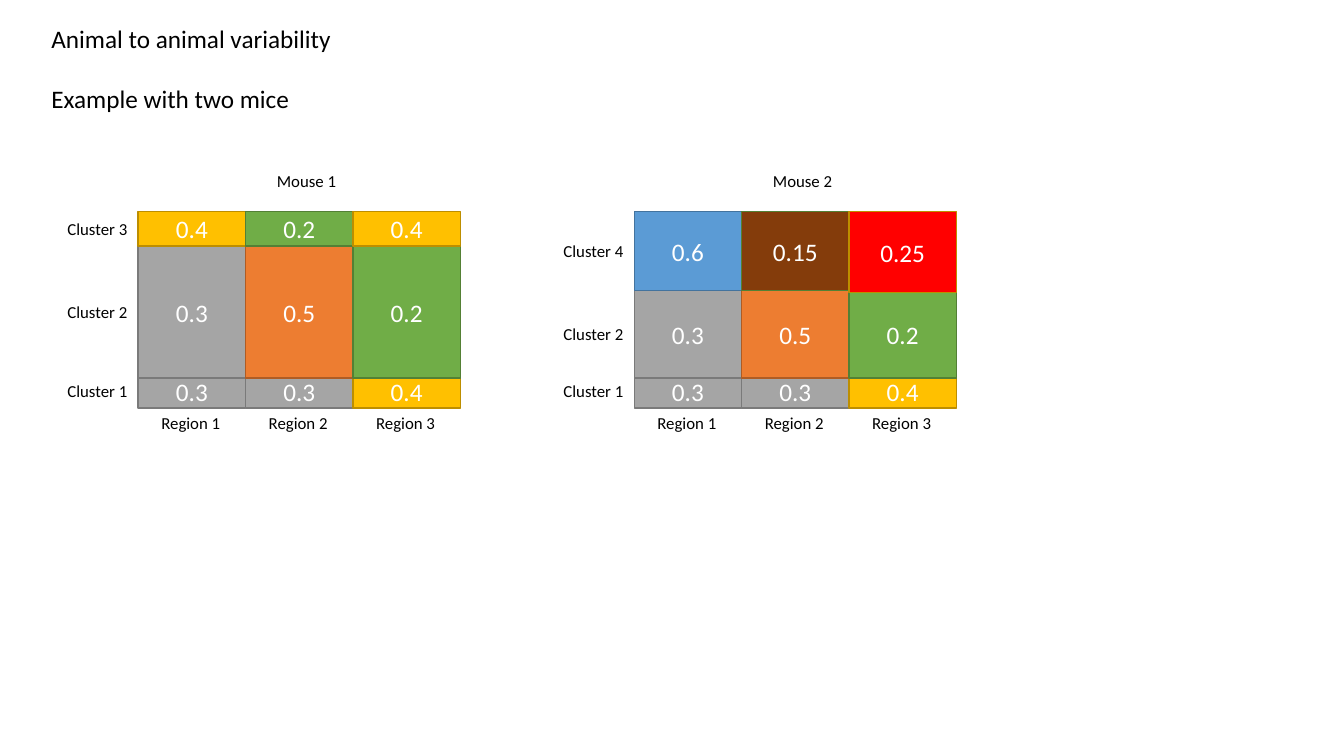
import pptx
import pptx.dml.color
import pptx.enum.shapes
import pptx.enum.text
import pptx.util

WIDE, HIGH = 13.33, 7.5
COL = 1.065
TAG_W, TAG_H = 0.8, 0.3
FONT = "Calibri"
HEX = {
    "black": "000000", "white": "FFFFFF",
    "gray": "A5A5A5", "gray edge": "7A7A7A",
    "gold": "FFC000", "gold edge": "BD8E00",
    "orange": "ED7D31", "orange edge": "AF5C24",
    "green": "70AD47", "green edge": "538035",
    "blue": "5B9BD5", "blue edge": "43739E",
    "brown": "843C0B", "brown edge": "538035",
    "red": "FF0000", "red edge": "BD8E00",
}
REGIONS = ["Region 1", "Region 2", "Region 3"]

# Rows run from the bottom up: name, top within the grid, then
# value, tone and height of each cell.
BASE = ("Cluster 1", 1.61,
        [("0.3", "gray", 0.34), ("0.3", "gray", 0.34), ("0.4", "gold", 0.34)])


def middle(top, high):
    return ("Cluster 2", top,
            [("0.3", "gray", high), ("0.5", "orange", high), ("0.2", "green", high)])


MICE = [
    ("Mouse 1", 1.37, [
        BASE, middle(0.34, 1.31),
        ("Cluster 3", 0,
         [("0.4", "gold", 0.34), ("0.2", "green", 0.34), ("0.4", "gold", 0.34)])]),
    ("Mouse 2", 6.29, [
        BASE, middle(0.78, 0.87),
        ("Cluster 4", 0,
         [("0.6", "blue", 0.78), ("0.15", "brown", 0.78), ("0.25", "red", 0.8)])]),
]


def inch(*sizes):
    return [pptx.util.Inches(size) for size in sizes]


def color(name):
    return pptx.dml.color.RGBColor.from_string(HEX[name])


def write(para, text, size, tone):
    run = para.add_run()
    run.text = text
    run.font.name = FONT
    run.font.size = pptx.util.Pt(size)
    run.font.color.rgb = color(tone)


def add_title(slide, left, top, wide, high):
    title = slide.shapes.title
    title.left, title.top, title.width, title.height = inch(left, top, wide, high)
    frame = title.text_frame
    frame.word_wrap = False
    frame.auto_size = pptx.enum.text.MSO_AUTO_SIZE.NONE
    frame.vertical_anchor = pptx.enum.text.MSO_ANCHOR.TOP
    lines = [frame.paragraphs[0], frame.add_paragraph()]
    for para, text in zip(lines, ["Animal to animal variability", "Example with two mice"]):
        para.alignment = pptx.enum.text.PP_ALIGN.LEFT
        para.line_spacing = 1.0
        write(para, text, 18, "black")
    lines[0].space_before = pptx.util.Pt(0)
    lines[1].space_before = pptx.util.Pt(21.6)


def add_tag(slide, text, left, top):
    box = slide.shapes.add_textbox(*inch(left, top, TAG_W, TAG_H))
    box.text_frame.word_wrap = False
    write(box.text_frame.paragraphs[0], text, 12, "black")


def add_cell(slide, text, tone, left, top, high):
    cell = slide.shapes.add_shape(
        pptx.enum.shapes.MSO_SHAPE.RECTANGLE, *inch(left, top, COL, high))
    cell.shadow.inherit = False
    cell.fill.solid()
    cell.fill.fore_color.rgb = color(tone)
    cell.line.color.rgb = color(tone + " edge")
    cell.line.width = pptx.util.Pt(1)
    cell.text_frame.vertical_anchor = pptx.enum.text.MSO_ANCHOR.MIDDLE
    para = cell.text_frame.paragraphs[0]
    para.alignment = pptx.enum.text.PP_ALIGN.CENTER
    write(para, text, 18, "white")


def add_mouse(slide, name, rows, left, top, high):
    add_tag(slide, name, left + 1.2 * COL, top - 0.46)
    for label, down, cells in rows:
        for num, (text, tone, tall) in enumerate(cells):
            add_cell(slide, text, tone, left + num * COL, top + down, tall)
        mid = top + down + cells[0][2] / 2
        add_tag(slide, label, left - TAG_W, mid - TAG_H / 2)
    for num, label in enumerate(REGIONS):
        add_tag(slide, label, left + (num + 0.5) * COL - TAG_W / 2, top + high)


def main():
    deck = pptx.Presentation()
    deck.slide_width, deck.slide_height = inch(WIDE, HIGH)
    slide = deck.slides.add_slide(deck.slide_layouts[5])
    add_title(slide, 0.41, 0.18, 3, 1.01)
    for name, left, rows in MICE:
        add_mouse(slide, name, rows, left, 0.28 * HIGH, 0.26 * HIGH)
    deck.save("out.pptx")


if __name__ == "__main__":
    main()
